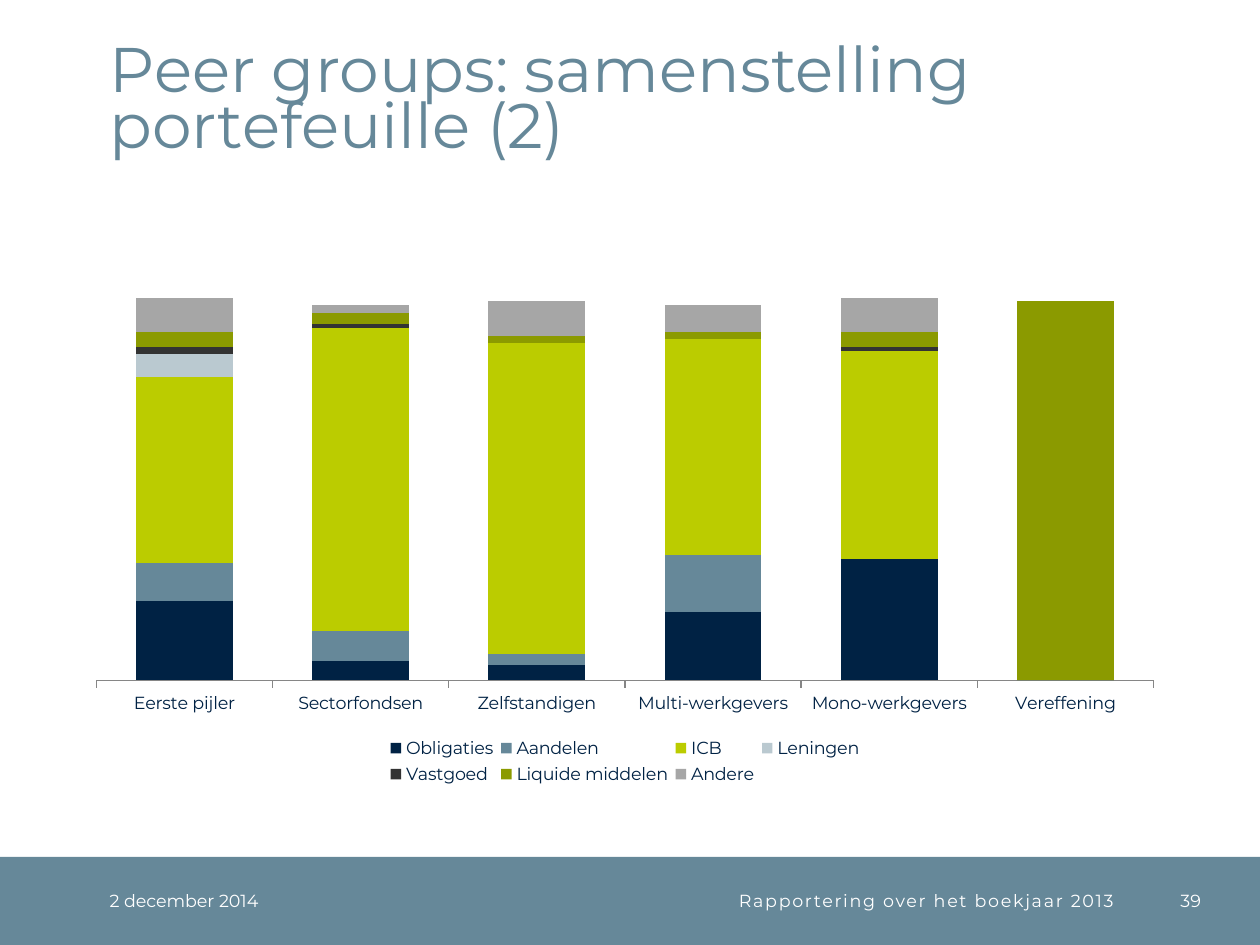
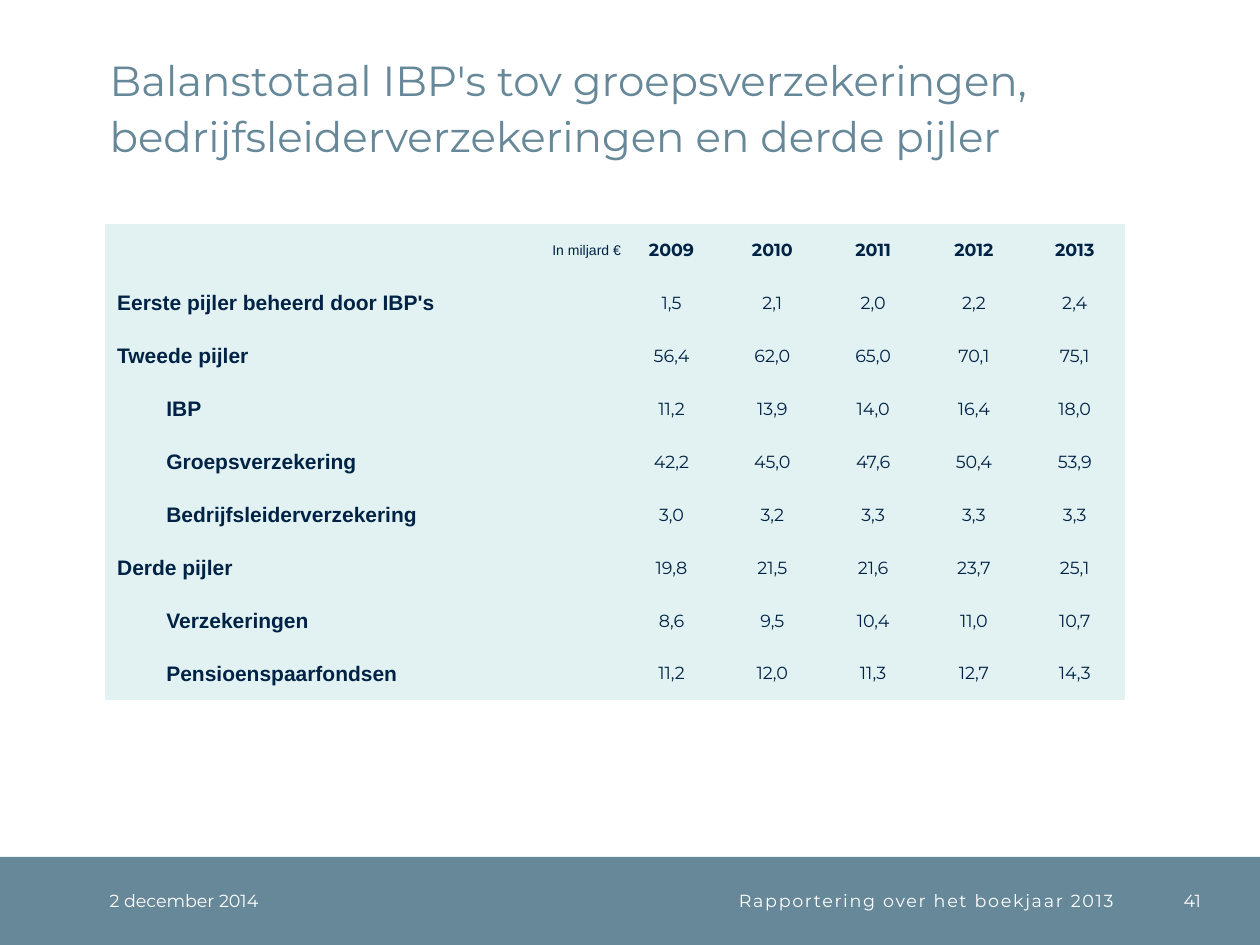
from lxml import etree
from pptx import Presentation
from pptx import util as u
from pptx.chart import data as chart_data
from pptx.dml.color import RGBColor
from pptx.enum import chart as charts, shapes, text
from pptx.oxml import ns

NAVY, STEEL, WHITE, ICE, GREY = "002244", "668899", "FFFFFF", "E2F2F3", "868686"
LEFT, CENTER, RIGHT = text.PP_ALIGN.LEFT, text.PP_ALIGN.CENTER, text.PP_ALIGN.RIGHT
MIDDLE, BOTTOM = text.MSO_ANCHOR.MIDDLE, text.MSO_ANCHOR.BOTTOM
PLAIN_TABLE = "{2D5ABB26-0587-4C30-8999-92F81FD0307C}"

FOOTER_TOP, FOOTER_HEIGHT = 6.8, 0.7
DATE = "2 december 2014"
REPORT = "Rapportering over het boekjaar 2013"

PEER_GROUPS = ["Eerste pijler", "Sectorfondsen", "Zelfstandigen",
               "Multi-werkgevers", "Mono-werkgevers", "Vereffening"]
ASSETS = [
    ("Obligaties", NAVY, (21, 5, 4, 18, 32, 0)),
    ("Aandelen", STEEL, (10, 8, 3, 15, 0, 0)),
    ("ICB", "BBCC00", (49, 80, 82, 57, 55, 0)),
    ("Leningen", "BAC9D0", (6, 0, 0, 0, 0, 0)),
    ("Vastgoed", "333333", (2, 1, 0, 0, 1, 0)),
    ("Liquide middelen", "8B9A00", (4, 3, 2, 2, 4, 100)),
    ("Andere", "A6A6A6", (9, 2, 9, 7, 9, 0)),
]

YEARS = ["2009", "2010", "2011", "2012", "2013"]
# Label, outline level, one amount per year
BALANCES = [
    ("Eerste pijler beheerd door IBP's", 0, "1,5 2,1 2,0 2,2 2,4"),
    ("Tweede pijler", 0, "56,4 62,0 65,0 70,1 75,1"),
    ("IBP", 1, "11,2 13,9 14,0 16,4 18,0"),
    ("Groepsverzekering", 1, "42,2 45,0 47,6 50,4 53,9"),
    ("Bedrijfsleiderverzekering", 1, "3,0 3,2 3,3 3,3 3,3"),
    ("Derde pijler", 0, "19,8 21,5 21,6 23,7 25,1"),
    ("Verzekeringen", 1, "8,6 9,5 10,4 11,0 10,7"),
    ("Pensioenspaarfondsen", 1, "11,2 12,0 11,3 12,7 14,3"),
]
LEVEL_INDENTS = [0.1, 0.49]


def color(value):
    return RGBColor.from_string(value)


def inches(*lengths):
    return [u.Inches(length) for length in lengths]


def apply(target, values):
    for name, value in values.items():
        setattr(target, name, value)


def place_in_chart(element, x, y, width, height, inner=False):
    """Give a plot area or legend a fixed place, in fractions of the chart."""
    for old in element.findall(ns.qn("c:layout")):
        element.remove(old)
    layout = etree.Element(ns.qn("c:layout"))
    manual = etree.SubElement(layout, ns.qn("c:manualLayout"))
    settings = [("layoutTarget", "inner")] if inner else []
    settings += [("xMode", "edge"), ("yMode", "edge"),
                 ("x", x), ("y", y), ("w", width), ("h", height)]
    for tag, value in settings:
        etree.SubElement(manual, ns.qn(f"c:{tag}")).set("val", str(value))
    position = element.find(ns.qn("c:legendPos"))
    if position is None:
        element.insert(0, layout)
    else:
        position.addnext(layout)


class Slides:
    def __init__(self, deck):
        self.deck = deck
        self.page = None

    def add_text(self, frame, words, size, ink, font="Montserrat", bold=False,
                 align=LEFT, spacing=0):
        paragraph = frame.paragraphs[0]
        paragraph.alignment = align
        span = paragraph.add_run()
        span.text = words
        apply(span.font, {"size": u.Pt(size), "name": font, "bold": bold})
        span.font.color.rgb = color(ink)
        if spacing:
            span._r.get_or_add_rPr().set("spc", str(spacing * 100))
        return paragraph

    def clear_margins(self, holder):
        apply(holder, dict.fromkeys(
            ["margin_left", "margin_top", "margin_right", "margin_bottom"], 0))

    def add_page(self, title, title_size, number):
        self.page = self.deck.slides.add_slide(self.deck.slide_layouts[5])
        self.add_title(title, title_size)
        self.add_band()
        self.add_footer(DATE, 0.87, 1.77)
        self.add_footer(REPORT, 2.64, 6.2, align=RIGHT, spacing=1)
        self.add_footer(number, 9.04, 0.49, align=RIGHT)

    def add_title(self, words, size):
        title = self.page.shapes.title
        places = inches(0.87, 0.2, 8.63, 1.08)
        apply(title, dict(zip(["left", "top", "width", "height"], places)))
        frame = title.text_frame
        self.clear_margins(frame)
        apply(frame, {"vertical_anchor": BOTTOM, "word_wrap": True,
                      "auto_size": text.MSO_AUTO_SIZE.NONE})
        paragraph = self.add_text(frame, words, size, STEEL)
        apply(paragraph, {"line_spacing": u.Pt(32), "space_before": u.Pt(0)})

    def add_band(self):
        band = self.page.shapes.add_shape(
            shapes.MSO_SHAPE.RECTANGLE, *inches(0, FOOTER_TOP, 10, FOOTER_HEIGHT))
        band.shadow.inherit = False
        band.fill.solid()
        band.fill.fore_color.rgb = color(STEEL)
        band.line.fill.background()

    def add_footer(self, words, left, width, **style):
        box = self.page.shapes.add_textbox(
            *inches(left, FOOTER_TOP, width, FOOTER_HEIGHT))
        self.clear_margins(box.text_frame)
        apply(box.text_frame, {"vertical_anchor": MIDDLE, "word_wrap": True})
        self.add_text(box.text_frame, words, 10, WHITE, **style)

    def add_portfolio_chart(self):
        data = chart_data.CategoryChartData(number_format="General")
        data.categories = PEER_GROUPS
        for name, _, shares in ASSETS:
            data.add_series(name, shares)
        chart = self.page.shapes.add_chart(
            charts.XL_CHART_TYPE.COLUMN_STACKED,
            *inches(0.59, 1.7, 8.74, 4.57), data).chart
        apply(chart, {"has_title": False, "has_legend": True})
        apply(chart.font, {"size": u.Pt(10), "name": "Montserrat"})
        chart.font.color.rgb = color(NAVY)

        apply(chart.value_axis, {"visible": False, "has_major_gridlines": False,
                                 "minimum_scale": 0, "maximum_scale": 120})
        axis = chart.category_axis
        axis.major_tick_mark = charts.XL_TICK_MARK.OUTSIDE
        axis.format.line.color.rgb = color(GREY)

        plot = chart.plots[0]
        apply(plot, {"gap_width": 82, "overlap": 100, "vary_by_categories": False})
        for series, (_, fill, _) in zip(plot.series, ASSETS):
            series.format.fill.solid()
            series.format.fill.fore_color.rgb = color(fill)

        apply(chart.legend, {"position": charts.XL_LEGEND_POSITION.BOTTOM,
                             "include_in_layout": False})
        plot_area = chart._chartSpace.chart.plotArea
        place_in_chart(plot_area, 0.02, 0.02, 0.96, 0.79, inner=True)
        place_in_chart(chart.legend._element, 0.28, 0.9, 0.44, 0.12)

    def add_cell(self, cell, words, size, indent=0, **style):
        self.clear_margins(cell)
        cell.vertical_anchor = MIDDLE
        cell.fill.solid()
        cell.fill.fore_color.rgb = color(ICE)
        paragraph = self.add_text(cell.text_frame, words, size, NAVY, **style)
        if indent:
            properties = paragraph._p.get_or_add_pPr()
            properties.set("marL", str(u.Inches(indent)))
            properties.set("indent", "0")

    def add_balance_table(self):
        widths = [4.1] + [0.8] * len(YEARS)
        row_count, row_height = len(BALANCES) + 1, 0.42
        table = self.page.shapes.add_table(
            row_count, len(widths),
            *inches(0.83, 1.78, sum(widths), row_count * row_height)).table
        apply(table, {"first_row": False, "horz_banding": False})
        table._tbl.tblPr.find(ns.qn("a:tableStyleId")).text = PLAIN_TABLE
        for column, width in zip(table.columns, widths):
            column.width = u.Inches(width)
        for row in table.rows:
            row.height = u.Inches(row_height)

        self.add_cell(table.cell(0, 0), "In miljard €", 8, LEVEL_INDENTS[0],
                      font="Arial", align=RIGHT)
        for column, year in enumerate(YEARS, 1):
            self.add_cell(table.cell(0, column), year, 10, bold=True, align=CENTER)
        for row, (label, level, amounts) in enumerate(BALANCES, 1):
            self.add_cell(table.cell(row, 0), label, 12, LEVEL_INDENTS[level],
                          font="Arial", bold=True)
            for column, amount in enumerate(amounts.split(), 1):
                self.add_cell(table.cell(row, column), amount, 10, align=CENTER)


def main():
    deck = Presentation()
    deck.slide_width, deck.slide_height = inches(10, 7.5)
    slides = Slides(deck)
    slides.add_page("Peer groups: samenstelling portefeuille (2)", 36, "39")
    slides.add_portfolio_chart()
    slides.add_page("Balanstotaal IBP's tov groepsverzekeringen, "
                    "bedrijfsleiderverzekeringen en derde pijler", 24, "41")
    slides.add_balance_table()
    deck.save("out.pptx")


if __name__ == "__main__":
    main()
